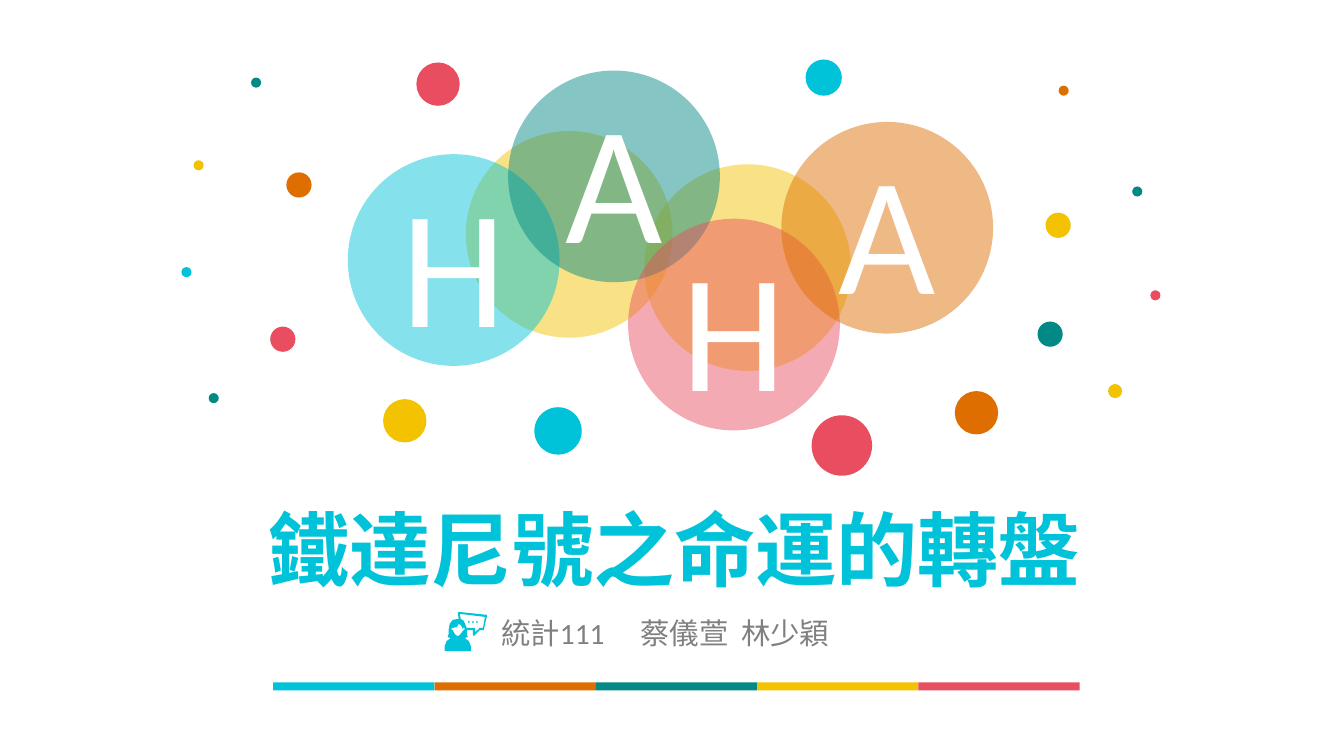
from lxml.etree import SubElement
from pptx import Presentation
from pptx.dml.color import RGBColor
from pptx.enum.shapes import MSO_SHAPE as Preset
from pptx.enum.text import MSO_ANCHOR as Anchor, PP_ALIGN as Align
from pptx.oxml.ns import qn
from pptx.util import Inches, Pt

CYAN, ORANGE, TEAL, YELLOW, RED = "00C3D9", "DE6E00", "028985", "F3C301", "E94E60"
WHITE, GRAY = "FFFFFF", "808080"
LATIN, CJK = "Calibri", "Noto Sans CJK SC"


def color(value):
    return RGBColor.from_string(value)


def set_values(target, values):
    for name, value in values.items():
        setattr(target, name, value)


class Slide:
    """Draws styled elements on one slide."""

    def __init__(self, deck):
        self.page = deck.slides.add_slide(deck.slide_layouts[6])
        self.shapes = self.page.shapes

    def paint(self, shape, fill, alpha=100):
        shape.shadow.inherit = False
        shape.fill.solid()
        shape.fill.fore_color.rgb = color(fill)
        shape.line.fill.background()
        if alpha < 100:
            tint = shape.fill._xPr.find(".//" + qn("a:srgbClr"))
            SubElement(tint, qn("a:alpha"), val=str(alpha * 1000))
        return shape

    def preset(self, kind, left, top, width, height, fill, alpha=100):
        place = [Inches(length) for length in (left, top, width, height)]
        return self.paint(self.shapes.add_shape(kind, *place), fill, alpha)

    def circle(self, left, top, size, fill, alpha=100):
        return self.preset(Preset.OVAL, left, top, size, size, fill, alpha)

    def label(self, shape, spans, size, ink, align, bold=False, **frame):
        box = shape.text_frame
        set_values(box, {"vertical_anchor": Anchor.MIDDLE, **frame})
        para = box.paragraphs[0]
        para.alignment = align
        for text, font in spans:
            span = para.add_run()
            span.text = text
            set_values(span.font, {"size": Pt(size), "bold": bold, "name": font})
            span.font.color.rgb = color(ink)
            SubElement(span.font._element, qn("a:ea"), typeface=font)
        return para

    def text(self, left, top, width, height, spans, size, ink, align, **style):
        place = [Inches(length) for length in (left, top, width, height)]
        box = self.shapes.add_textbox(*place)
        return self.label(box, spans, size, ink, align, word_wrap=True, **style)

    def tabs(self, para, stops):
        tab_list = SubElement(para._p.get_or_add_pPr(), qn("a:tabLst"))
        for stop in stops:
            SubElement(tab_list, qn("a:tab"), pos=str(Inches(stop)), algn="l")

    def outline(self, left, top, contours, fill):
        first, *others = contours
        builder = self.shapes.build_freeform(*first[0], scale=Inches(0.01))
        builder.add_line_segments(first[1:], close=True)
        for contour in others:
            builder.move_to(*contour[0])
            builder.add_line_segments(contour[1:], close=True)
        self.paint(builder.convert_to_shape(Inches(left), Inches(top)), fill)


BACK_CIRCLES = [(4.62, 1.3), (6.39, 1.63)]
LETTERS = [
    ("H", 3.45, 1.53, CYAN),
    ("A", 5.04, 0.7, TEAL),
    ("H", 6.23, 2.17, RED),
    ("A", 7.75, 1.21, ORANGE),
]
DOTS = [
    (7.99, 0.59, 0.36, CYAN), (8.05, 4.12, 0.6, RED), (4.13, 0.62, 0.43, RED),
    (5.3, 4.04, 0.47, CYAN), (2.84, 1.71, 0.25, ORANGE), (2.49, 0.77, 0.1, TEAL),
    (1.92, 1.59, 0.1, YELLOW), (3.8, 3.96, 0.43, YELLOW), (2.68, 3.24, 0.25, RED),
    (1.8, 2.65, 0.1, CYAN), (2.07, 3.9, 0.1, TEAL), (10.37, 2.11, 0.25, YELLOW),
    (10.5, 0.85, 0.1, ORANGE), (11.23, 1.85, 0.1, TEAL), (9.47, 3.88, 0.43, ORANGE),
    (10.29, 3.19, 0.25, TEAL), (11.41, 2.88, 0.1, RED), (10.99, 3.81, 0.14, YELLOW),
]
SILHOUETTE = [
    (14, 0), (42, 3), (42, 4), (39, 17), (39, 18), (35, 18), (29, 24), (28, 23),
    (28, 18), (22, 18), (22, 22), (23, 25), (20, 26), (24, 29), (26, 34), (26, 39),
    (0, 39), (0, 34), (2, 29), (6, 26), (3, 25), (4, 22), (4, 18), (5, 12),
    (8, 8), (13, 7), (14, 7), (13, 1),
]
BUBBLE = [
    (15, 2), (16, 7), (19, 9), (22, 16), (30, 16), (30, 20), (34, 17), (34, 16),
    (38, 16), (40, 5),
]
FACE = [
    (14, 12), (12, 15), (8, 16), (6, 17), (8, 18), (9, 20), (11, 23), (13, 24),
    (15, 23), (18, 19), (20, 17), (19, 15), (18, 17), (16, 13),
]
ELLIPSIS = [[(x - 1, 10), (x, 9), (x + 1, 10), (x, 11)] for x in (24, 28, 32)]


def main():
    deck = Presentation()
    set_values(deck, {"slide_width": Inches(13.33), "slide_height": Inches(7.5)})
    slide = Slide(deck)
    for left, top in BACK_CIRCLES:
        slide.circle(left, top, 2.05, YELLOW, 48)
    for letter, left, top, fill in LETTERS:
        disc = slide.circle(left, top, 2.1, fill, 48)
        slide.label(disc, [(letter, LATIN)], 120, WHITE, Align.CENTER, word_wrap=False)
    for dot in DOTS:
        slide.circle(*dot)

    authors = [("統計", CJK), ("111", LATIN), ("\t蔡儀萱\t林少穎", CJK)]
    margins = {"margin_left": Inches(0.07), "margin_right": Inches(0.07),
               "margin_top": Inches(0.04), "margin_bottom": Inches(0.04)}
    line = slide.text(4.9, 6.14, 4.01, 0.28, authors, 21, GRAY, Align.LEFT, **margins)
    slide.tabs(line, [1.38, 2.38])
    slide.text(1.77, 5.07, 9.84, 0.74, [("鐵達尼號之命運的轉盤", CJK)], 58, CYAN,
               Align.CENTER, bold=True)
    for index, fill in enumerate([CYAN, ORANGE, TEAL, YELLOW, RED]):
        slide.preset(Preset.RECTANGLE, 2.71 + 1.6 * index, 6.77, 1.6, 0.08, fill)
    slide.outline(4.41, 6.07, [SILHOUETTE, BUBBLE, FACE, *ELLIPSIS], CYAN)
    deck.save("out.pptx")


if __name__ == "__main__":
    main()
